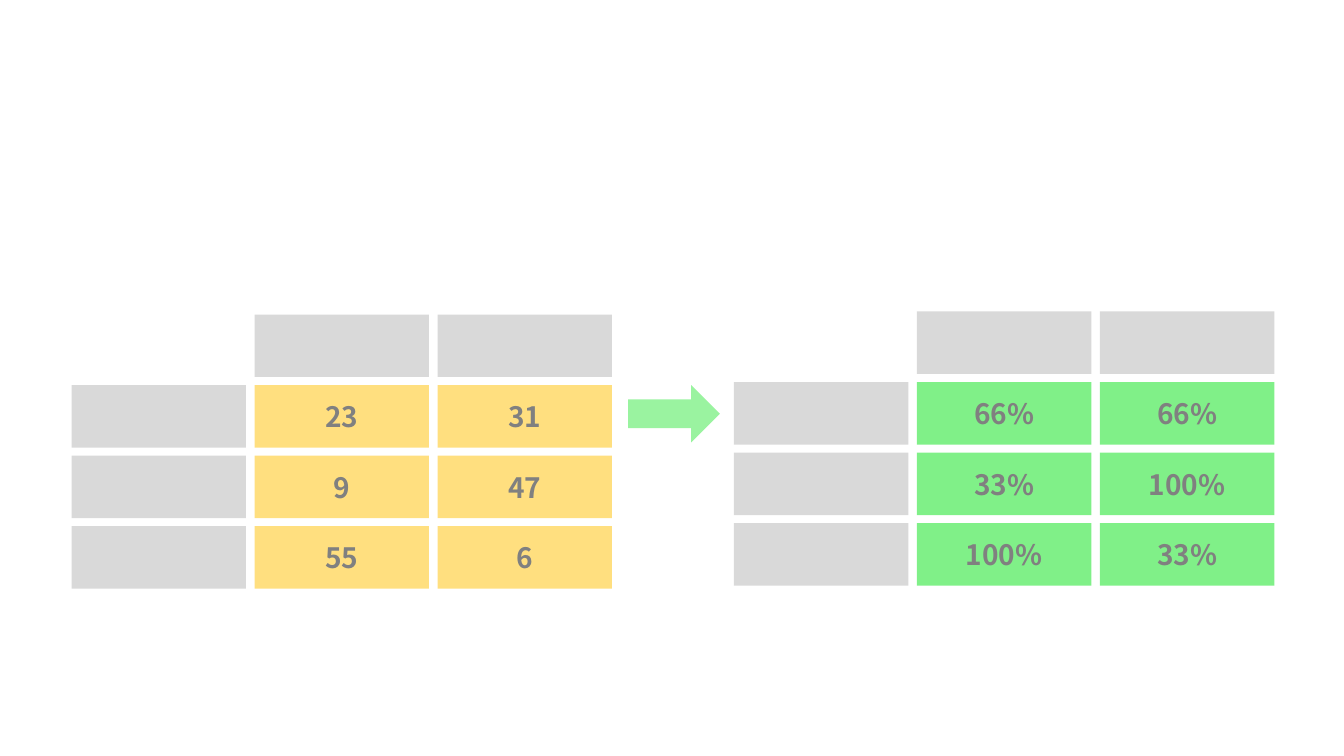
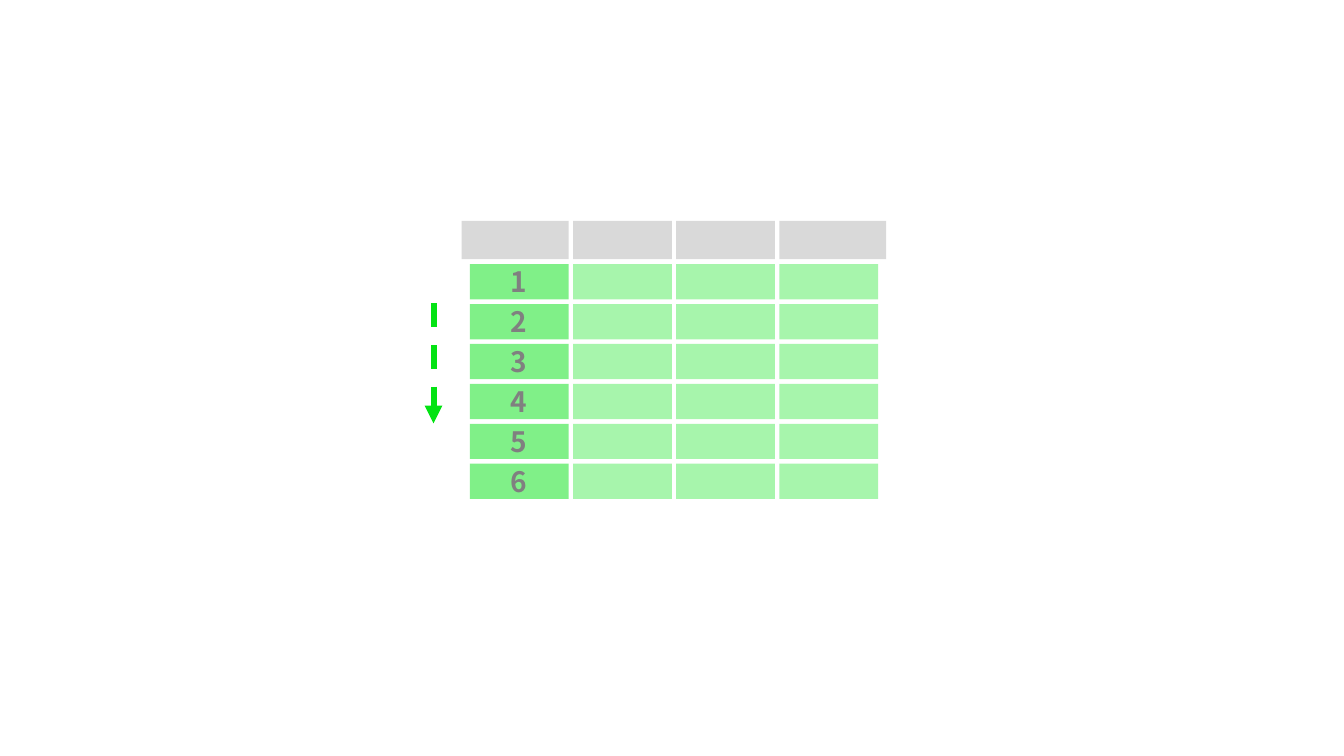
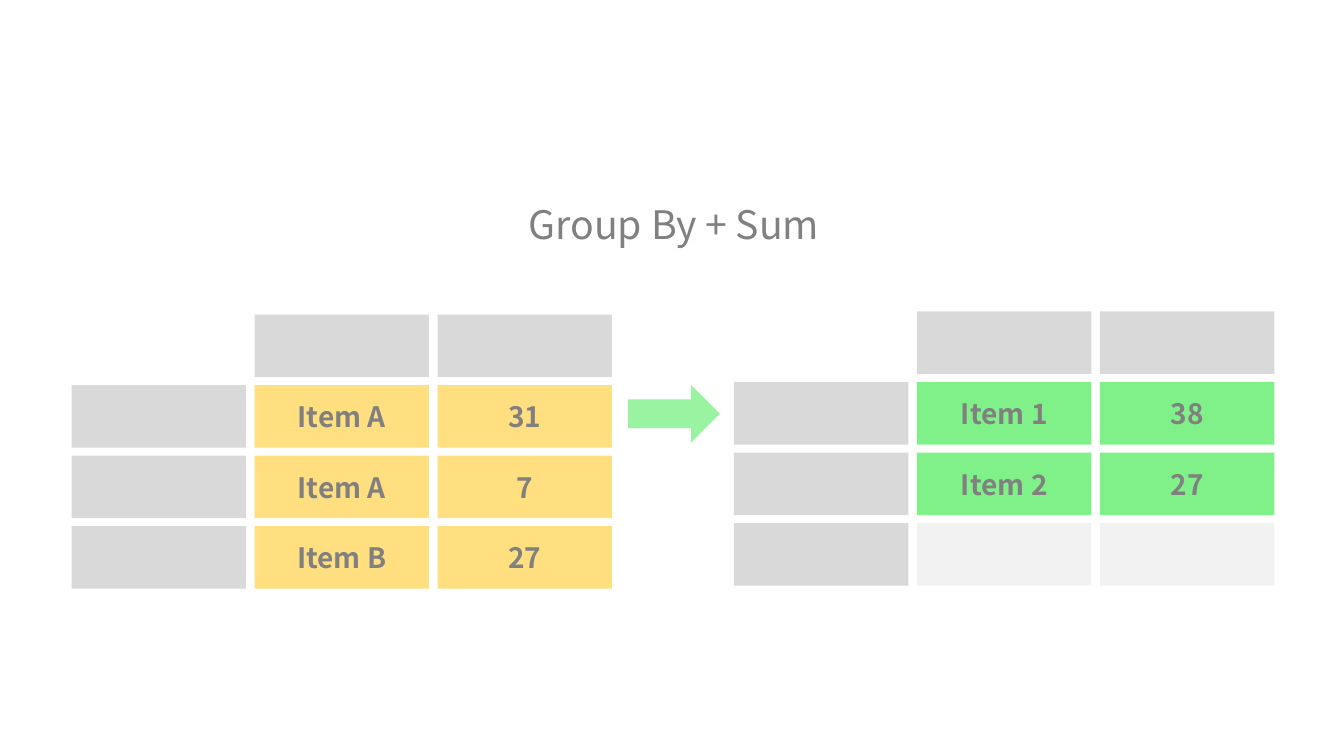
from pptx import Presentation
from pptx.dml.color import RGBColor
from pptx.enum.dml import MSO_LINE
from pptx.enum.shapes import MSO_CONNECTOR, MSO_SHAPE
from pptx.enum.text import MSO_ANCHOR, MSO_AUTO_SIZE, PP_ALIGN
from pptx.oxml.ns import qn
from pptx.util import Inches, Pt
from lxml.etree import SubElement

FONT = "Noto Sans CJK SC"
GREY = RGBColor(0xD9, 0xD9, 0xD9)
PALE = RGBColor(0xF2, 0xF2, 0xF2)
AMBER = RGBColor(0xFF, 0xC0, 0x00)
GREEN = RGBColor(0x03, 0xE3, 0x13)
TEXT = RGBColor(0x80, 0x80, 0x80)


def add_text(shape, words, size, bold):
    para = shape.text_frame.paragraphs[0]
    para.alignment = PP_ALIGN.CENTER
    span = para.add_run()
    span.text = words
    span.font.name = FONT
    span.font.size = Pt(size)
    span.font.bold = bold
    span.font.color.rgb = TEXT


def add_block(page, left, top, width, height, colour, opacity=100, label="",
              kind=MSO_SHAPE.RECTANGLE):
    block = page.shapes.add_shape(
        kind, Inches(left), Inches(top), Inches(width), Inches(height))
    block.shadow.inherit = False
    block.line.fill.background()
    block.fill.solid()
    block.fill.fore_color.rgb = colour
    if opacity < 100:
        colour_node = next(block._element.spPr.iter(qn("a:srgbClr")))
        SubElement(colour_node, qn("a:alpha")).set("val", str(opacity * 1000))
    if label:
        block.text_frame.vertical_anchor = MSO_ANCHOR.MIDDLE
        add_text(block, label, 20, True)


deck = Presentation()
deck.slide_width = Inches(13.33)
deck.slide_height = Inches(7.5)
TITLE_ONLY, BLANK = deck.slide_layouts[5], deck.slide_layouts[6]
percent_page = deck.slides.add_slide(BLANK)
rows_page = deck.slides.add_slide(BLANK)
group_page = deck.slides.add_slide(TITLE_ONLY)

# Before and after grids joined by an arrow
CELL_WIDTH, CELL_HEIGHT = 1.73, 0.62
COLUMN_STEP, ROW_STEP = (5.36 - CELL_WIDTH) / 2, 0.7
GRIDS = [
    (percent_page, [["23", "31"], ["9", "47"], ["55", "6"]],
     [["66%", "66%"], ["33%", "100%"], ["100%", "33%"]]),
    (group_page, [["Item A", "31"], ["Item A", "7"], ["Item B", "27"]],
     [["Item 1", "38"], ["Item 2", "27"], ["", ""]]),
]
for page, before, after in GRIDS:
    for left, top, colour, values in [(0.71, 3.12, AMBER, before),
                                      (7.28, 3.09, GREEN, after)]:
        for row in range(4):
            for column in range(3):
                if row == column == 0:
                    continue
                label, fill, opacity = "", GREY, 100
                if row and column:
                    label = values[row - 1][column - 1]
                    fill, opacity = (colour, 50) if label else (PALE, 100)
                add_block(page, left + column * COLUMN_STEP, top + row * ROW_STEP,
                          CELL_WIDTH, CELL_HEIGHT, fill, opacity, label)
    add_block(page, 6.23, 3.82, 0.91, 0.57, GREEN, 40, kind=MSO_SHAPE.RIGHT_ARROW)

# Title of the grouping page
title = group_page.shapes.title
title.left, title.top = Inches(4.46), Inches(1.94)
title.width, title.height = Inches(4.45), Inches(0.57)
title.text_frame.word_wrap = True
title.text_frame.auto_size = MSO_AUTO_SIZE.SHAPE_TO_FIT_TEXT
title.text_frame.vertical_anchor = MSO_ANCHOR.TOP
add_text(title, "Group By + Sum", 28, False)

# Numbered rows under a header that is wider at both ends
LEFT, WIDTH, OVERHANG = 4.66, 0.98, 0.08
STEP_X, STEP_Y = (7.73 - LEFT) / 3, (4.6 - 2.62) / 5
for column in range(4):
    left = LEFT + column * STEP_X
    header_left = left - OVERHANG if column == 0 else left
    header_width = WIDTH + OVERHANG if column in (0, 3) else WIDTH
    add_block(rows_page, header_left, 2.19, header_width, 0.38, GREY)
    for row in range(6):
        opacity, label = (50, str(row + 1)) if column == 0 else (35, "")
        add_block(rows_page, left, 2.62 + row * STEP_Y, WIDTH, 0.35,
                  GREEN, opacity, label)

# Dashed arrow pointing down the rows
arrow = rows_page.shapes.add_connector(
    MSO_CONNECTOR.STRAIGHT, Inches(4.3), Inches(3.01), Inches(4.3), Inches(4.2))
arrow.line.color.rgb = GREEN
arrow.line.width = Pt(4.25)
arrow.line.dash_style = MSO_LINE.DASH
SubElement(arrow.line._get_or_add_ln(), qn("a:tailEnd")).set("type", "triangle")
SubElement(arrow._element.spPr, qn("a:effectLst"))

deck.save("out.pptx")
